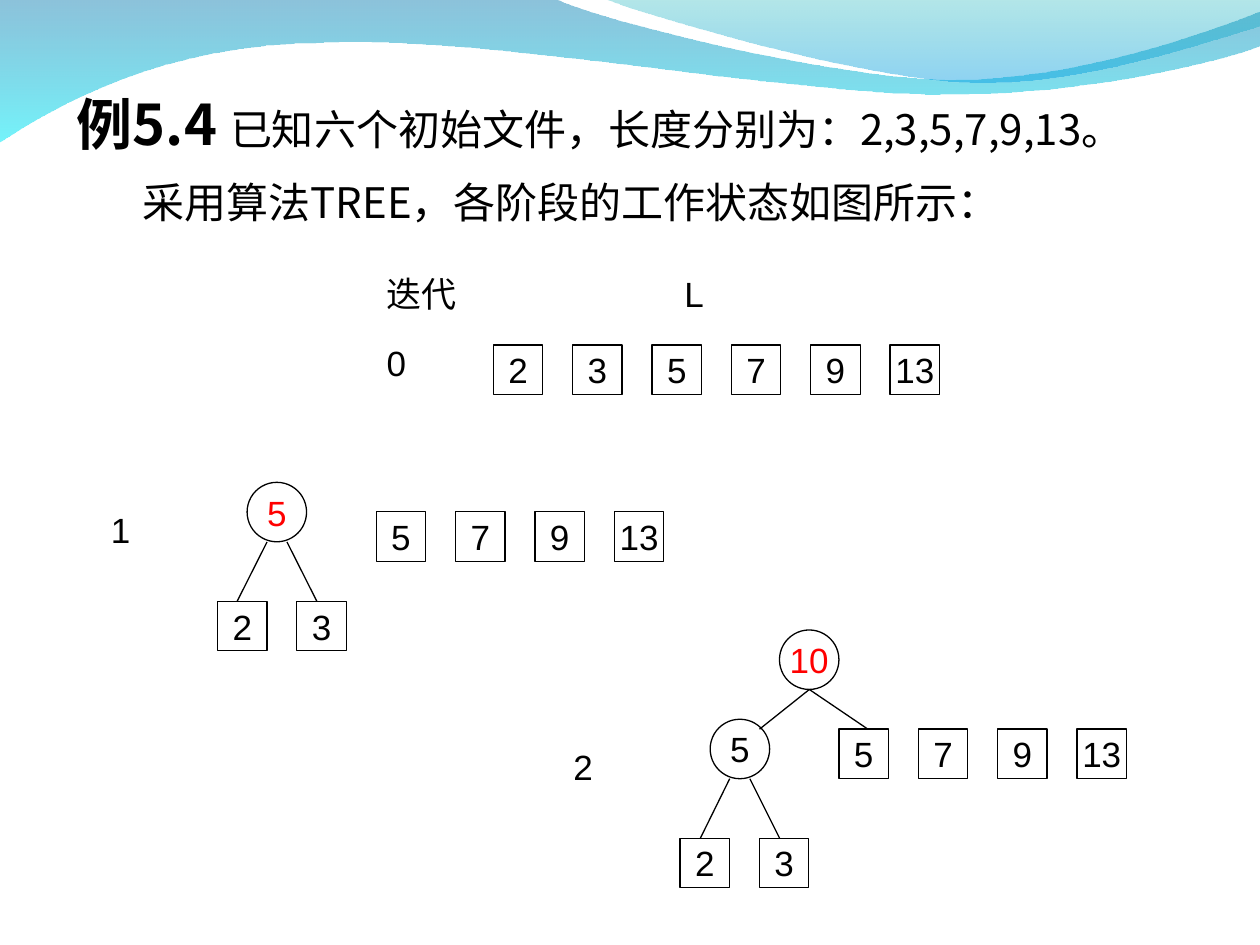
from pptx import Presentation
from pptx.dml.color import RGBColor
from pptx.enum import shapes, text
from pptx.oxml.ns import qn
from pptx.util import Pt
from lxml import etree

BLACK, RED = "000000", "FF0000"
SANS, CJK = "Arial", "Noto Sans CJK SC"
SIDE, PITCH, CIRCLE = 28.3, 45.35, 34  # square side, square spacing, circle diameter

# left indent of the paragraph, then its runs (wording, size, bold)
HEADING = [
    (0, [("例5.4 ", 32, True), ("已知六个初始文件，长度分别为：2,3,5,7,9,13。", 24, False)]),
    (37.6, [("采用算法TREE，各阶段的工作状态如图所示：", 24, False)]),
]
LABELS = [  # wording, left, top, width
    ("迭代", 214, 152, 68), ("L", 384, 152, 40), ("0", 213.8, 191.5, 68),
    ("1", 56.2, 286.8, 68), ("2", 320.5, 422.2, 68),
]
FILE_ROWS = [  # lengths, left, top
    ([2, 3, 5, 7, 9, 13], 281.9, 197.2),
    ([2, 3], 124.3, 343.6), ([5, 7, 9, 13], 215, 292.5),
    ([2, 3], 388.6, 479), ([5, 7, 9, 13], 479.4, 416.6),
]
MERGED = [  # length, left, top, colour
    (5, 141.2, 275.6, RED), (5, 405.8, 411, BLACK), (10, 445.4, 360, RED),
]
BRANCHES = [  # start, then end
    (152.6, 309.7, 135.6, 343.5), (164, 309.7, 181, 343.5),
    (417, 445, 400.2, 479), (428.5, 445, 445.5, 479),
    (462.5, 394, 434, 416.7), (462.5, 394, 496, 416.7),
]
# each step is an end point, or two control points and an end point
WAVES = [
    dict(start=(0, -0.7),
         steps=[[(317, -0.7)],
                [(343, 12), (478, 45.4), (546, 45.4)],
                [(614, 45.4), (690, 18.7), (720, 6.5)],
                [(720.7, 26)],
                [(708, 31.7), (626, 54.7), (537, 54)],
                [(448, 54), (275, 20.2), (185, 24.5)],
                [(93, 25.2), (33, 59.8), (-0.7, 81.4)]],
         stops=[("0079AF", 45), ("00EBF8", 55)]),
    dict(start=(345, -0.7),
         steps=[[(366.5, 8), (491, 44.6), (554, 46.8)],
                [(616, 49.7), (692, 23), (720, 15)],
                [(720, -0.7)]],
         stops=[("00ADB6", 30), ("009BE5", 45)]),
]


def color(value):
    return RGBColor.from_string(value)


def set_all(target, values):
    for name, value in values.items():
        setattr(target, name, value)


def add_run(paragraph, wording, size, fill=BLACK, font=SANS, bold=False):
    run = paragraph.add_run()
    run.text = wording
    set_all(run.font, dict(name=font, size=Pt(size), bold=bold))
    run.font.color.rgb = color(fill)
    etree.SubElement(run.font._element, qn("a:ea"), typeface=CJK)


def add_wave(slide, start, steps, stops):
    """Draw all points as straight segments, then join each three-point step into a curve."""
    builder = slide.shapes.build_freeform(*map(Pt, start))
    builder.add_line_segments([tuple(map(Pt, point)) for step in steps for point in step])
    wave = builder.convert_to_shape()
    segments = iter(list(wave._element.iter(qn("a:lnTo"))))
    for step in steps:
        first, *others = [next(segments) for _ in step]
        if others:
            first.tag = qn("a:cubicBezTo")
        for segment in others:
            first.append(segment[0])
            segment.getparent().remove(segment)
    wave.shadow.inherit = False
    wave.line.fill.background()
    wave.fill.gradient()
    wave.fill.gradient_angle = 270
    for stop, (value, opacity) in zip(wave.fill.gradient_stops, stops):
        stop.color.rgb = color(value)
        rgb = stop._gs.find(qn("a:srgbClr"))
        etree.SubElement(rgb, qn("a:alpha"), val=str(opacity * 1000))


def add_heading(slide):
    title = slide.shapes.title
    slide.shapes._spTree.append(title._element)  # in front of the waves
    set_all(title, dict(left=Pt(36.7), top=Pt(31.7), width=Pt(663), height=Pt(102)))
    frame = title.text_frame
    set_all(frame, dict(word_wrap=True, auto_size=text.MSO_AUTO_SIZE.NONE,
                        vertical_anchor=text.MSO_ANCHOR.MIDDLE))
    for i, (indent, runs) in enumerate(HEADING):
        paragraph = frame.add_paragraph() if i else frame.paragraphs[0]
        set_all(paragraph, dict(alignment=text.PP_ALIGN.LEFT, line_spacing=1.4))
        paragraph._p.get_or_add_pPr().set("marL", str(Pt(indent)))
        for wording, size, bold in runs:
            add_run(paragraph, wording, size, font=CJK, bold=bold)


def add_label(slide, wording, left, top, width):
    frame = slide.shapes.add_textbox(Pt(left), Pt(top), Pt(width), Pt(31.5)).text_frame
    frame.word_wrap = True
    add_run(frame.paragraphs[0], wording, 20)


def add_node(slide, kind, length, left, top, size, fill=BLACK):
    node = slide.shapes.add_shape(kind, Pt(left), Pt(top), Pt(size), Pt(size))
    node.shadow.inherit = False
    node.fill.background()
    node.line.color.rgb = color(BLACK)
    node.line.width = Pt(0.75)
    set_all(node.text_frame, dict(word_wrap=False, vertical_anchor=text.MSO_ANCHOR.MIDDLE))
    paragraph = node.text_frame.paragraphs[0]
    paragraph.alignment = text.PP_ALIGN.CENTER
    add_run(paragraph, str(length), 20, fill)


def add_branch(slide, ends):
    branch = slide.shapes.add_connector(shapes.MSO_CONNECTOR.STRAIGHT, *map(Pt, ends))
    branch.line.color.rgb = color(BLACK)
    branch.line.width = Pt(0.75)
    etree.SubElement(branch._element.spPr, qn("a:effectLst"))


def main():
    deck = Presentation()
    set_all(deck, dict(slide_width=Pt(720), slide_height=Pt(540)))
    slide = deck.slides.add_slide(deck.slide_layouts.get_by_name("Title Only"))
    for wave in WAVES:
        add_wave(slide, **wave)
    add_heading(slide)
    for label in LABELS:
        add_label(slide, *label)
    for lengths, left, top in FILE_ROWS:
        for i, length in enumerate(lengths):
            add_node(slide, shapes.MSO_SHAPE.RECTANGLE, length, left + i * PITCH, top, SIDE)
    for length, left, top, fill in MERGED:
        add_node(slide, shapes.MSO_SHAPE.OVAL, length, left, top, CIRCLE, fill)
    for ends in BRANCHES:
        add_branch(slide, ends)
    deck.save("out.pptx")


if __name__ == "__main__":
    main()
